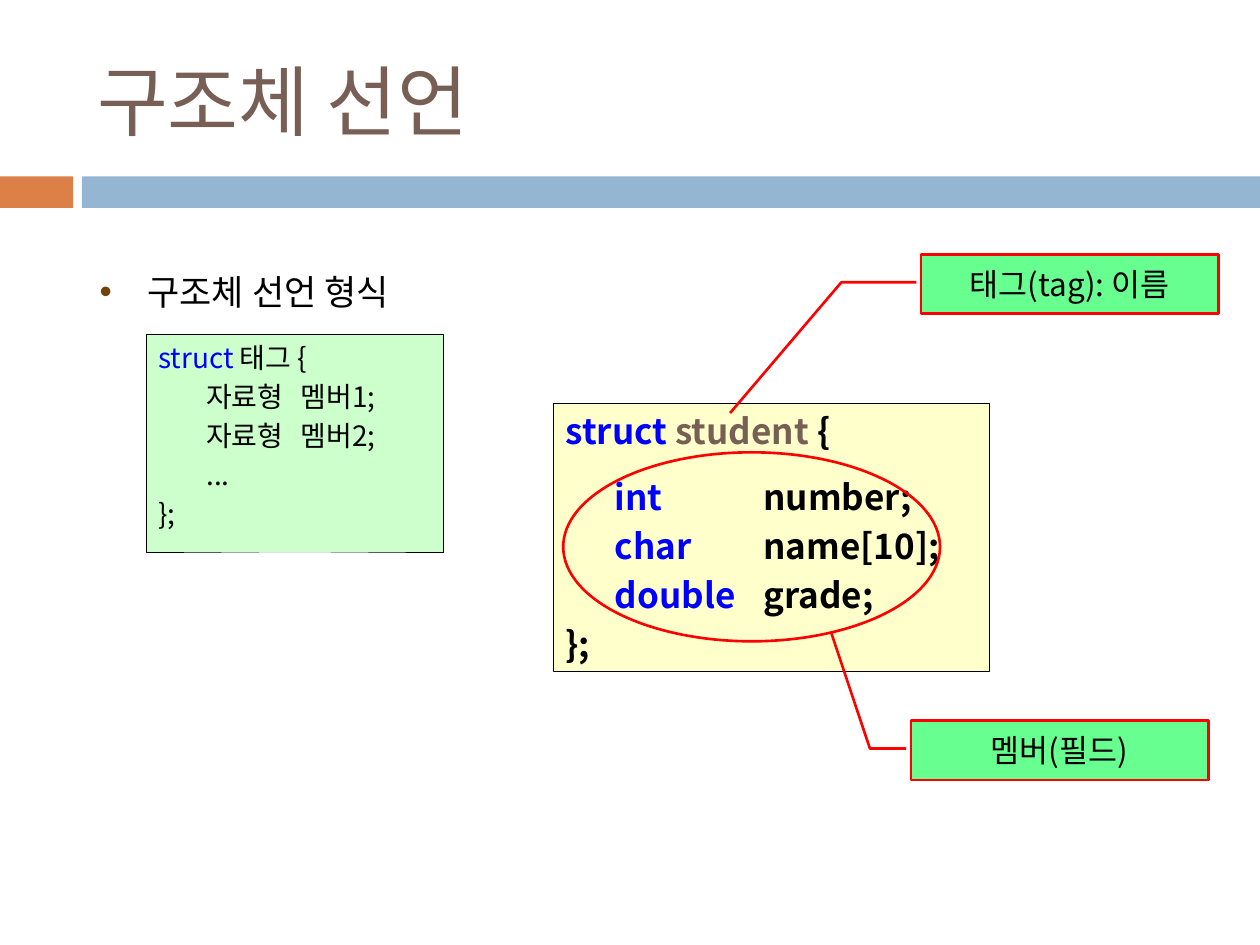
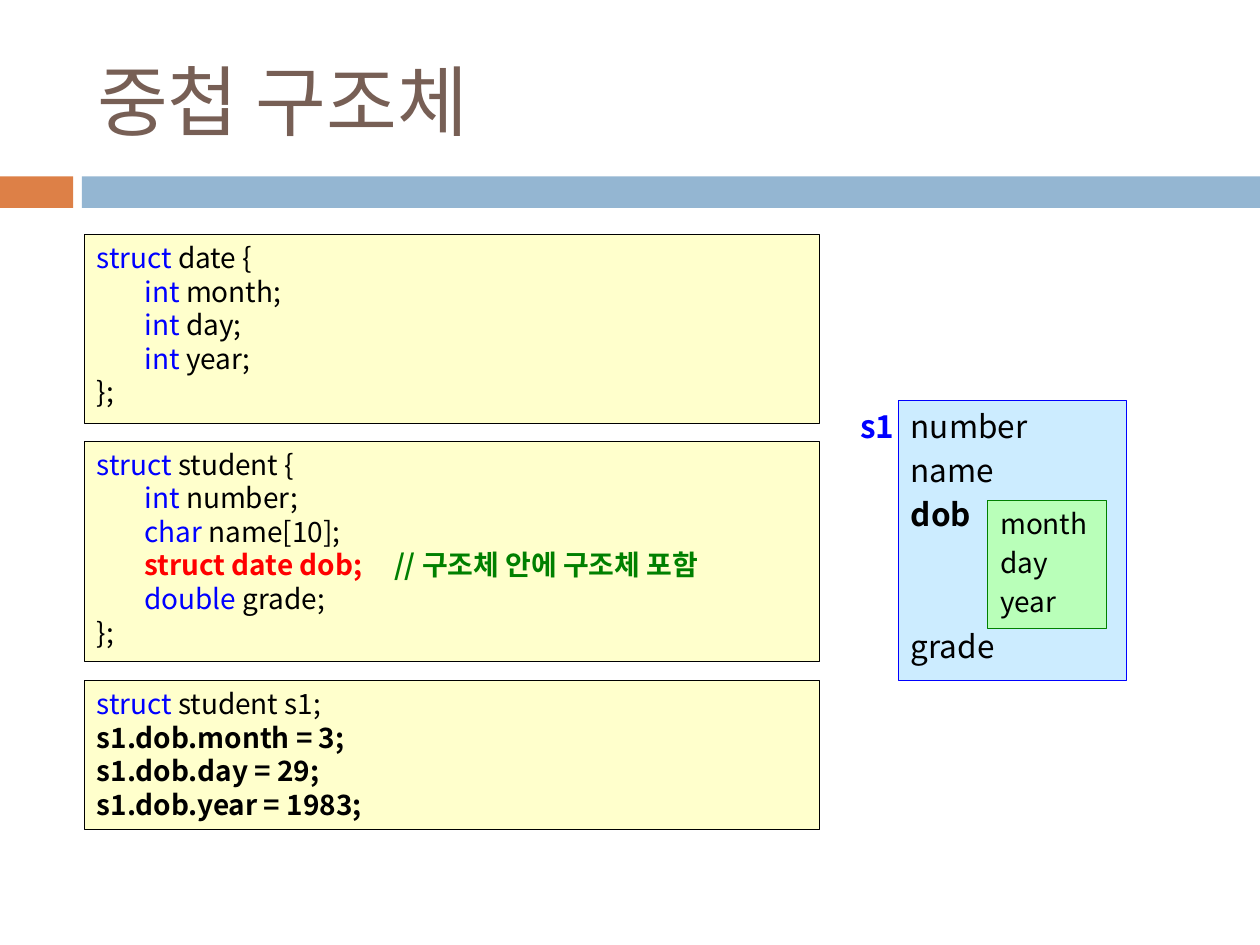
from lxml import etree
from pptx import Presentation
from pptx.dml.color import RGBColor
from pptx.enum.shapes import MSO_SHAPE
from pptx.enum.text import MSO_ANCHOR, PP_ALIGN
from pptx.oxml.ns import qn
from pptx.util import Inches, Pt

BLACK = RGBColor(0, 0, 0)
BLUE = RGBColor(0, 0, 0xFF)
RED = RGBColor(0xFF, 0, 0)
GREEN = RGBColor(0, 0x80, 0)
BROWN = RGBColor(0x77, 0x5F, 0x55)
BULLET = RGBColor(0x70, 0x44, 0x04)
ORANGE_BAND = RGBColor(0xDD, 0x80, 0x47)
BLUE_BAND = RGBColor(0x94, 0xB6, 0xD2)
CREAM = RGBColor(0xFF, 0xFF, 0xCC)
MINT = RGBColor(0xCC, 0xFF, 0xCC)
CALLOUT_GREEN = RGBColor(0x67, 0xFF, 0x8F)
SKY = RGBColor(0xCC, 0xEC, 0xFF)
LIGHT_GREEN = RGBColor(0xB9, 0xFF, 0xB9)
FONT = "Noto Sans CJK KR"
TITLE_FONT = "Cabin"
LINE_HEIGHT = 1.2
TAB = 0.38


def inches(box):
    return [Inches(v) for v in box]


def format_run(r, size, color=BLACK, bold=False, font=FONT):
    r.font.size = Pt(size)
    r.font.bold = bold
    r.font.color.rgb = color
    r.font.name = font
    etree.SubElement(r.font._element, qn("a:ea"), typeface=FONT)


def add_tabs(p, stops):
    tabs = etree.SubElement(p._p.get_or_add_pPr(), qn("a:tabLst"))
    for stop in stops:
        etree.SubElement(tabs, qn("a:tab"), pos=str(Inches(stop)), algn="l")


def write_lines(tf, lines, size, gap=0, tabs=(TAB,), bold=False):
    """Write each line as one paragraph; a line is a list of (text, colour, bold) runs or a string."""
    tf.word_wrap = True
    tf.vertical_anchor = MSO_ANCHOR.TOP
    for i, line in enumerate(lines):
        p = tf.paragraphs[0] if i == 0 else tf.add_paragraph()
        p.alignment = PP_ALIGN.LEFT
        p.line_spacing = Pt(size * LINE_HEIGHT)
        p.space_before = Pt(size * gap if i else 0)
        add_tabs(p, tabs)
        for text, color, *weight in [(line, BLACK)] if isinstance(line, str) else line:
            r = p.add_run()
            r.text = text
            format_run(r, size, color, weight[0] if weight else bold)


def add_panel(shapes, box, fill=None, line=None, width=0.25, kind=MSO_SHAPE.RECTANGLE):
    sp = shapes.add_shape(kind, *inches(box))
    sp.shadow.inherit = False
    if fill is None:
        sp.fill.background()
    else:
        sp.fill.solid()
        sp.fill.fore_color.rgb = fill
    if line is None:
        sp.line.fill.background()
    else:
        sp.line.color.rgb = line
        sp.line.width = Pt(width)
    return sp


def add_code(shapes, box, lines, size=16, fill=CREAM, line=BLACK, width=0.25, **style):
    sp = add_panel(shapes, box, fill, line, width)
    write_lines(sp.text_frame, lines, size, **style)
    return sp


def add_callout(s, box, text, adjustments):
    sp = add_panel(s.shapes, box, CALLOUT_GREEN, RED, 1.5, MSO_SHAPE.LINE_CALLOUT_2)
    for i, value in enumerate(adjustments):
        sp.adjustments[i] = value
    tf = sp.text_frame
    tf.text = text
    tf.vertical_anchor = MSO_ANCHOR.MIDDLE
    p = tf.paragraphs[0]
    p.alignment = PP_ALIGN.CENTER
    format_run(p.runs[0], 18)


def add_bands(prs, s):
    """Draw the two bands and move them to the master, so every slide shows them."""
    for left, width, color in ((0, 0.58, ORANGE_BAND), (0.65, 9.35, BLUE_BAND)):
        band = add_panel(s.shapes, (left, 1.4, width, 0.25), color)
        prs.slide_master.shapes.element.append(band.element)


def place(sp, box):
    sp.left, sp.top, sp.width, sp.height = inches(box)


def add_titled_slide(prs, layout, title):
    s = prs.slides.add_slide(prs.slide_layouts[layout])
    sp = s.shapes.title
    place(sp, (0.67, 0.25, 8.92, 1.08))
    sp.text_frame.text = title
    sp.text_frame.vertical_anchor = MSO_ANCHOR.MIDDLE
    p = sp.text_frame.paragraphs[0]
    p.alignment = PP_ALIGN.LEFT
    format_run(p.runs[0], 44, BROWN, font=TITLE_FONT)
    return s


def add_bullet(s, box, text):
    sp = s.placeholders[1]
    place(sp, box)
    sp.text_frame.text = text
    p = sp.text_frame.paragraphs[0]
    p.space_before = Pt(0)
    format_run(p.runs[0], 20)
    pPr = p._p.get_or_add_pPr()
    pPr.set("marL", str(Inches(TAB)))
    pPr.set("indent", str(-Inches(TAB)))
    color = etree.SubElement(pPr, qn("a:buClr"))
    etree.SubElement(color, qn("a:srgbClr"), val=str(BULLET))
    etree.SubElement(pPr, qn("a:buChar"), char="•")


def field(kind, name):
    return [("\t" + kind, BLUE), (" " + name, BLACK)]


def struct(rest):
    return [("struct", BLUE), (" " + rest, BLACK)]


def declaration_slide(prs):
    s = add_titled_slide(prs, 1, "구조체 선언")
    add_bands(prs, s)
    add_bullet(s, (0.69, 2.1, 4.26, 0.55), "구조체 선언 형식")
    add_code(s.shapes, (1.16, 2.65, 2.36, 1.73),
             [struct("태그 {"), "\t자료형\t멤버1;", "\t자료형\t멤버2;", "\t...", "};"],
             fill=MINT, gap=0.2, tabs=(TAB, 1.13))
    members = (("int", "number;"), ("char", "name[10];"), ("double", "grade;"))
    code = add_code(
        s.shapes, (4.39, 3.2, 3.46, 2.13),
        [[("struct ", BLUE), ("student", BROWN), (" {", BLACK)],
         *([("\t" + kind, BLUE), ("\t" + name, BLACK)] for kind, name in members),
         "};"],
        size=20, gap=0.2, tabs=(0.39, 1.57), bold=True)
    code.text_frame.paragraphs[0].space_after = Pt(10)
    add_callout(s, (7.31, 2.02, 2.36, 0.47), "태그(tag): 이름",
                (0.47, -0.016, 0.47, -0.268, 2.677, -0.642))
    add_callout(s, (7.23, 5.72, 2.36, 0.47), "멤버(필드)",
                (0.47, -0.016, 0.47, -0.138, -1.499, -0.269))
    add_panel(s.shapes, (4.47, 3.59, 2.99, 1.5), line=RED, width=1.5, kind=MSO_SHAPE.OVAL)


def add_memory_diagram(s, left, top):
    """Draw variable s1 with the nested date inside it."""
    shapes = s.shapes.add_group_shape().shapes
    outer = add_code(shapes, (left + 0.4, top, 1.81, 2.22),
                     ["number", "name", [("dob", BLACK, True)], "grade"],
                     size=18, fill=SKY, line=BLUE, width=0.75, gap=0.2)
    outer.text_frame.paragraphs[-1].space_before = Pt(54)
    add_code(shapes, (left + 1.11, top + 0.79, 0.94, 1.02), ["month", "day", "year"],
             fill=LIGHT_GREEN, line=GREEN, width=0.75, gap=0.2)
    label = shapes.add_textbox(*inches((left, top, 0.47, 0.4)))
    write_lines(label.text_frame, [[("s1", BLUE, True)]], 18)
    label.text_frame.margin_right = 0


def nested_slide(prs):
    s = add_titled_slide(prs, 5, "중첩 구조체")
    date = [struct("date {"), *(field("int", f"{n};") for n in ("month", "day", "year")), "};"]
    student = [
        struct("student {"), field("int", "number;"), field("char", "name[10];"),
        [("\tstruct date dob;", RED, True), ("\t// 구조체 안에 구조체 포함", GREEN, True)],
        field("double", "grade;"), "};"]
    values = (("month", 3), ("day", 29), ("year", 1983))
    usage = [struct("student s1;"),
             *([(f"s1.dob.{n} = {v};", BLACK, True)] for n, v in values)]
    for top, height, lines in ((1.86, 1.5, date), (3.5, 1.75, student), (5.4, 1.18, usage)):
        add_code(s.shapes, (0.67, top, 5.83, height), lines, tabs=(TAB, 2.36))
    add_memory_diagram(s, 6.73, 3.18)


def main():
    prs = Presentation()
    prs.slide_width, prs.slide_height = Inches(10), Inches(7.5)
    declaration_slide(prs)
    nested_slide(prs)
    prs.save("out.pptx")


if __name__ == "__main__":
    main()
